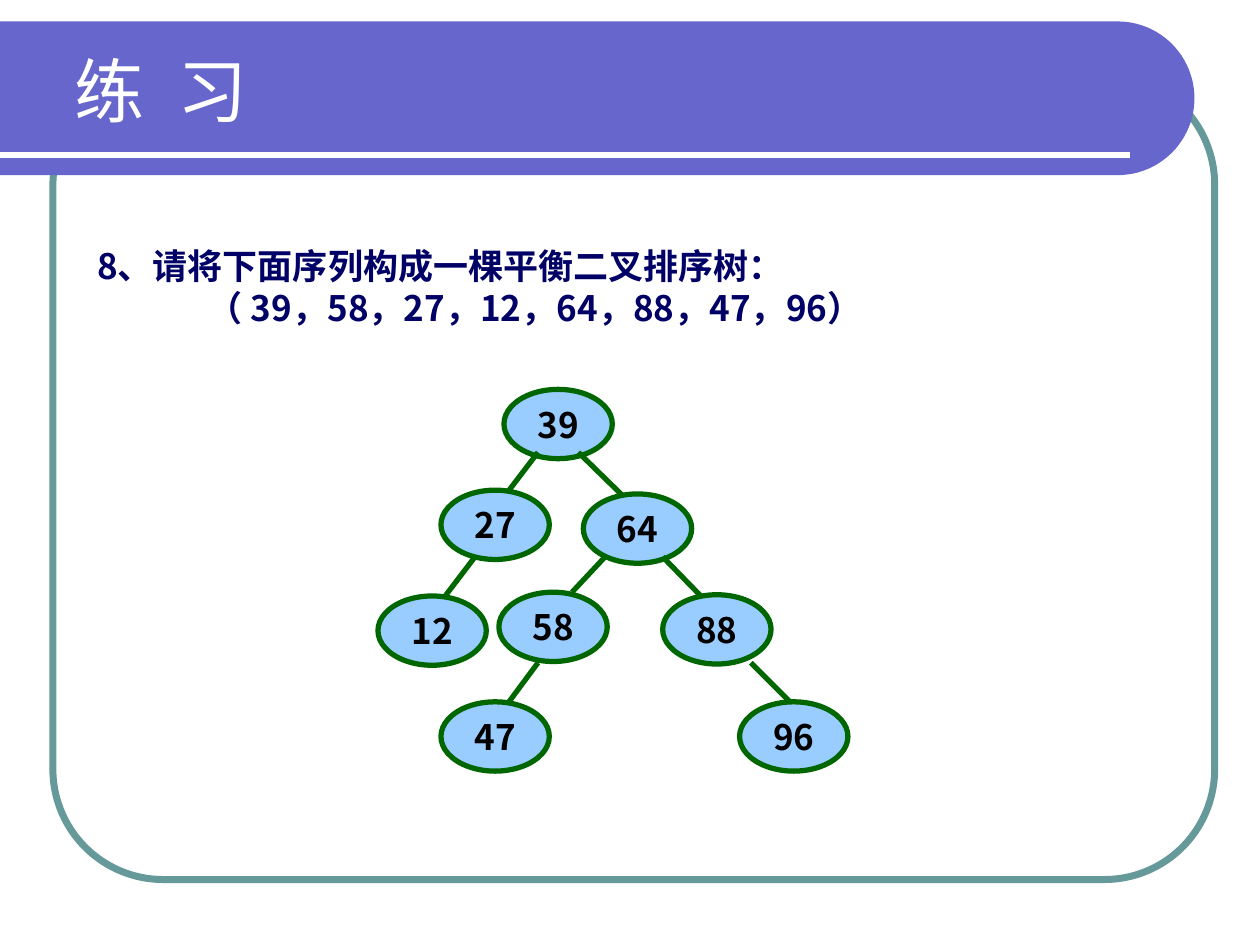
from math import cos, pi, sin

from lxml.etree import SubElement
from pptx import Presentation
from pptx.dml.color import RGBColor
from pptx.enum.shapes import MSO_CONNECTOR, MSO_SHAPE
from pptx.enum.text import MSO_ANCHOR, PP_ALIGN
from pptx.oxml.ns import qn
from pptx.util import Inches, Pt

COLORS = {
    "banner": "6666CC",
    "frame": "669999",
    "white": "FFFFFF",
    "question": "000066",
    "node": "99CCFF",
    "edge": "006600",
    "label": "000000",
}
SANS = "Noto Sans CJK SC"
HEADING = {"name": "Times New Roman", "size": Pt(40), "bold": False}
BODY = {"name": SANS, "size": Pt(20), "bold": True}


class SlideWriter:
    def __init__(self, slide):
        self.slide = slide
        self.shapes = slide.shapes

    def color(self, name):
        return RGBColor.from_string(COLORS[name])

    def paint(self, shape, fill=None, line=None, weight=0):
        shape.shadow.inherit = False
        if fill:
            shape.fill.solid()
            shape.fill.fore_color.rgb = self.color(fill)
        else:
            shape.fill.background()
        if line:
            shape.line.color.rgb = self.color(line)
            shape.line.width = Pt(weight)
        else:
            shape.line.fill.background()

    def span(self, para, text, style, color):
        span = para.add_run()
        span.text = text
        for name, value in style.items():
            setattr(span.font, name, value)
        span.font.color.rgb = self.color(color)
        properties = span._r.get_or_add_rPr()
        SubElement(properties, qn("a:ea")).set("typeface", SANS)
        return span

    def frame_text(self, shape, wrap=True):
        frame = shape.text_frame
        frame.word_wrap = wrap
        frame.vertical_anchor = MSO_ANCHOR.MIDDLE
        return frame

    def shape(self, kind, left, top, width, height, **look):
        shape = self.shapes.add_shape(
            kind, Inches(left), Inches(top), Inches(width), Inches(height))
        self.paint(shape, **look)
        return shape

    def line(self, start_x, start_y, end_x, end_y, color):
        line = self.shapes.add_connector(
            MSO_CONNECTOR.STRAIGHT, Inches(start_x), Inches(start_y),
            Inches(end_x), Inches(end_y))
        line.line.color.rgb = self.color(color)
        line.line.width = Pt(3)
        SubElement(line._element.spPr, qn("a:effectLst"))

    def banner(self, top, straight, radius, steps=48):
        middle = top + radius
        builder = self.shapes.build_freeform(0, Inches(top))
        angles = [pi * step / steps - pi / 2 for step in range(steps + 1)]
        arc = [(Inches(straight + radius * cos(angle)),
                Inches(middle + radius * sin(angle))) for angle in angles]
        builder.add_line_segments(arc + [(0, Inches(top + 2 * radius))])
        self.paint(builder.convert_to_shape(), fill="banner")

    def node(self, label, left, top):
        oval = self.shape(MSO_SHAPE.OVAL, left, top, 0.86, 0.55,
                          fill="node", line="edge", weight=3)
        para = self.frame_text(oval, wrap=False).paragraphs[0]
        para.alignment = PP_ALIGN.CENTER
        self.span(para, label, BODY, "label")

    def question(self, lines, left, top, width, height):
        title = self.shapes.title
        place = {"left": left, "top": top, "width": width, "height": height}
        for name, value in place.items():
            setattr(title, name, Inches(value))
        frame = self.frame_text(title)
        for number, (text, indent) in enumerate(lines):
            para = frame.add_paragraph() if number else frame.paragraphs[0]
            para.alignment = PP_ALIGN.LEFT
            para.line_spacing = Pt(24)
            para._p.get_or_add_pPr().set("marL", str(Inches(indent)))
            self.span(para, text, BODY, "question")

    def heading(self, first, second, left, top, width, height):
        box = self.shapes.add_textbox(
            Inches(left), Inches(top), Inches(width), Inches(height))
        para = self.frame_text(box).paragraphs[0]
        self.span(para, first, HEADING, "white")
        gap = self.span(para, " ", HEADING, "white")
        gap._r.get_or_add_rPr().set("spc", "1000")
        self.span(para, second, HEADING, "white")


deck = Presentation()
deck.slide_width, deck.slide_height = Inches(10), Inches(7.5)
page = SlideWriter(deck.slides.add_slide(deck.slide_layouts[5]))

border = page.shape(MSO_SHAPE.ROUNDED_RECTANGLE, 0.42, 0.59, 9.22, 6.39,
                    line="frame", weight=4)
border.adjustments[0] = 0.137
page.banner(0.17, 8.87, 0.61)
page.line(0, 1.23, 8.97, 1.23, "white")
page.question([("8、请将下面序列构成一棵平衡二叉排序树：", 0),
               ("（ 39，58，27，12，64，88，47，96）", 0.88)],
              0.67, 1.86, 8.83, 0.83)

TREE = [
    ("39", 4, 3.09, None),
    ("27", 3.5, 3.89, (4.27, 3.59, 3.98, 3.97)),
    ("12", 3, 4.73, (3.77, 4.42, 3.48, 4.8)),
    ("58", 3.96, 4.7, (4.83, 4.39, 4.54, 4.7)),
    ("64", 4.63, 3.92, (4.59, 3.59, 5.02, 4.01)),
    ("88", 5.26, 4.72, (5.26, 4.42, 5.64, 4.81)),
    ("47", 3.5, 5.57, (4.27, 5.26, 3.98, 5.65)),
    ("96", 5.87, 5.57, (5.96, 5.26, 6.35, 5.65)),
]
for label, left, top, edge in TREE:
    if edge:
        page.line(*edge, "edge")
    page.node(label, left, top)

page.heading("练", "习", 0.49, 0.21, 8.77, 1)
deck.save("out.pptx")
